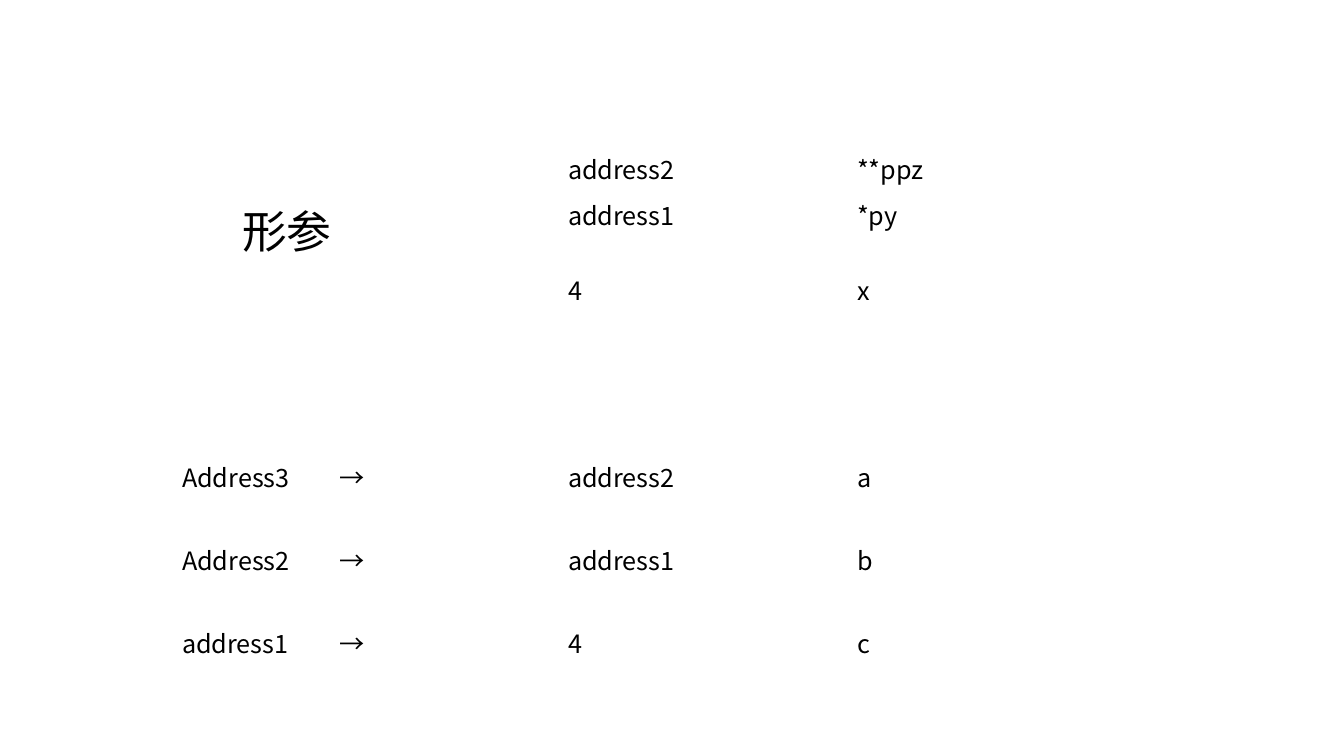
from dataclasses import dataclass

from lxml.etree import SubElement
from pptx import Presentation
from pptx.dml.color import RGBColor
from pptx.oxml.ns import qn
from pptx.util import Emu, Pt


@dataclass(frozen=True)
class Theme:
    font: str = "Noto Sans CJK SC"
    ink: RGBColor = RGBColor(0, 0, 0)
    body: int = 18
    heading: int = 32


THEME = Theme()
COLUMN_WIDTHS = (386, 289, 178)
ARROW_TAB = 157
HEADING_INDENT = 60
EMPTY = ("", "", "")
MEMORY_ROWS = (
    (47, EMPTY),
    (46, EMPTY),
    (46, ("", "address2", "**ppz")),
    (75, ("形参", "address1", "*py")),
    (46, ("", "4", "x")),
    (47, EMPTY),
    (46, EMPTY),
    (47, EMPTY),
    (83, ("Address3\t→", "address2", "a")),
    (83, ("Address2\t→", "address1", "b")),
    (83, ("address1\t→", "4", "c")),
    (46, EMPTY),
)


def px(length):
    return Emu(round(length * 914400 / 100.8))


def fill_cell(cell, text):
    cell.fill.background()
    cell.text_frame.text = text
    paragraph = cell.text_frame.paragraphs[0]
    properties = paragraph._p.get_or_add_pPr()
    is_heading = text == "形参"
    if is_heading:
        properties.set("marL", str(px(HEADING_INDENT)))
    if "\t" in text:
        tabs = SubElement(properties, qn("a:tabLst"))
        SubElement(tabs, qn("a:tab"), pos=str(px(ARROW_TAB)), algn="l")
    for run in paragraph.runs:
        run.font.name = THEME.font
        run.font.size = Pt(THEME.heading if is_heading else THEME.body)
        run.font.color.rgb = THEME.ink
        SubElement(run.font._element, qn("a:ea"), typeface=THEME.font)


def add_memory_table(slide, left, top):
    height = sum(row_height for row_height, _ in MEMORY_ROWS)
    table = slide.shapes.add_table(
        len(MEMORY_ROWS), len(COLUMN_WIDTHS),
        px(left), px(top), px(sum(COLUMN_WIDTHS)), px(height),
    ).table
    table.first_row = False
    table.horz_banding = False
    for column, width in zip(table.columns, COLUMN_WIDTHS):
        column.width = px(width)
    for row, (row_height, texts) in zip(table.rows, MEMORY_ROWS):
        row.height = px(row_height)
        for cell, text in zip(row.cells, texts):
            fill_cell(cell, text)


def main():
    presentation = Presentation()
    presentation.slide_width = px(1344)
    presentation.slide_height = px(756)
    slide = presentation.slides.add_slide(presentation.slide_layouts[6])
    add_memory_table(slide, 172, 52)
    presentation.save("out.pptx")


if __name__ == "__main__":
    main()
